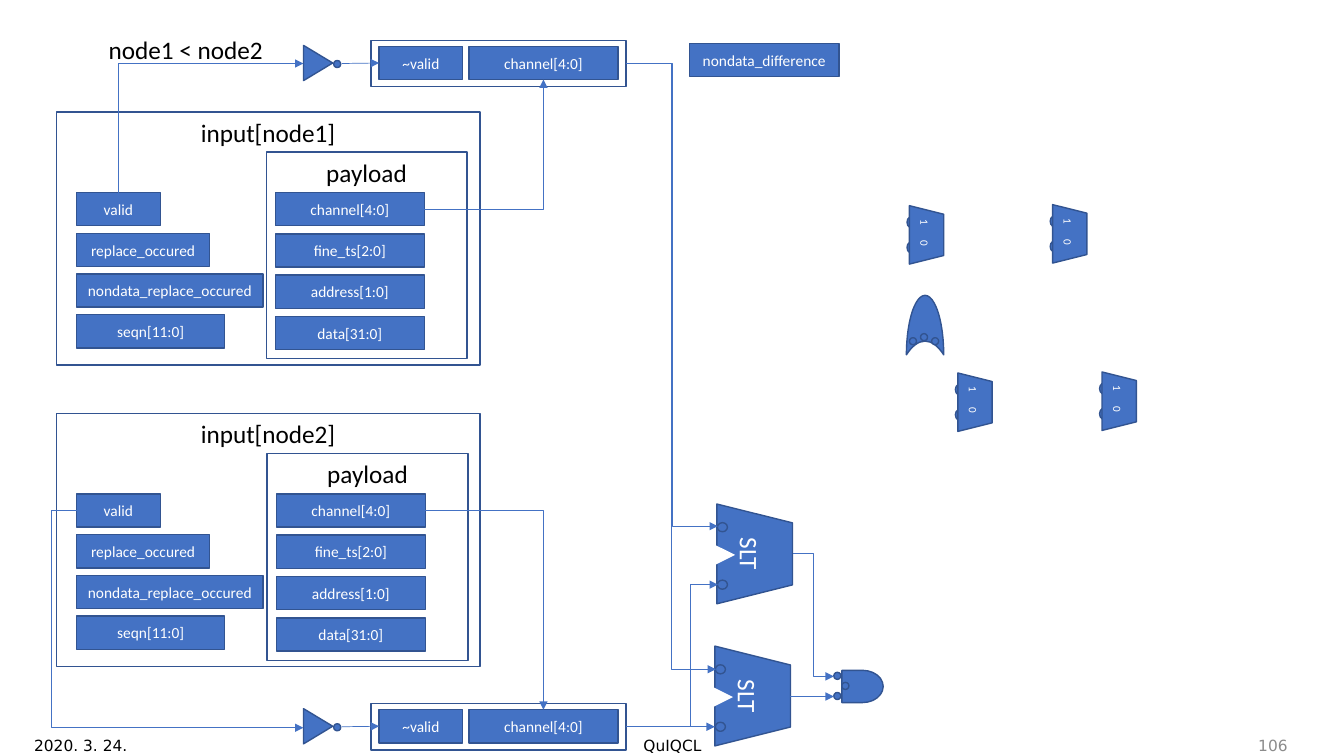
from dataclasses import dataclass

from lxml import etree
from pptx import Presentation
from pptx.dml.color import RGBColor
from pptx.enum.shapes import MSO_CONNECTOR, MSO_SHAPE
from pptx.enum.text import MSO_ANCHOR, PP_ALIGN
from pptx.oxml.ns import qn
from pptx.util import Emu, Pt

PX = 9144
RECT, OVAL, TRIANGLE = MSO_SHAPE.RECTANGLE, MSO_SHAPE.OVAL, MSO_SHAPE.ISOSCELES_TRIANGLE
TRAPEZOID, MOON, DELAY = MSO_SHAPE.TRAPEZOID, MSO_SHAPE.MOON, MSO_SHAPE.FLOWCHART_DELAY
STRAIGHT, ELBOW = MSO_CONNECTOR.STRAIGHT, MSO_CONNECTOR.ELBOW
LEFT, CENTER, RIGHT = PP_ALIGN.LEFT, PP_ALIGN.CENTER, PP_ALIGN.RIGHT
TOP, MIDDLE = MSO_ANCHOR.TOP, MSO_ANCHOR.MIDDLE
SIDE_TOP, SIDE_LEFT, SIDE_BOTTOM, SIDE_RIGHT = range(4)


@dataclass(frozen=True)
class Theme:
    """Colours, fonts and type sizes of the slide."""
    fill: str = "4472C4"
    edge: str = "325491"
    white: str = "FFFFFF"
    black: str = "000000"
    grey: str = "8C8C8C"
    font: str = "Calibri"
    footer_font: str = "DejaVu Sans"
    title: int = 18
    label: int = 11
    tiny: int = 8
    edge_width: float = 1
    wire_width: float = 0.5


T = Theme()


def rgb(value):
    """Turn a hex string into a colour."""
    return RGBColor.from_string(value)


def px(*values):
    """Turn pixel lengths into EMU."""
    return [Emu(round(v * PX)) for v in values]


def write(s, text, size=T.label, color=T.white, font=T.font, align=CENTER,
          anchor=MIDDLE, inset=(0, 0), wrap=True, tab=None):
    """Put one formatted paragraph into a shape."""
    tf = s.text_frame
    tf.word_wrap, tf.vertical_anchor = wrap, anchor
    x, y = px(*inset)
    tf.margin_left = tf.margin_right = x
    tf.margin_top = tf.margin_bottom = y
    p = tf.paragraphs[0]
    p.alignment = align
    if tab:
        tabs = etree.SubElement(p._p.get_or_add_pPr(), qn("a:tabLst"))
        etree.SubElement(tabs, qn("a:tab"), pos=str(tab * PX), algn="l")
    r = p.add_run()
    r.text = text
    r.font.name, r.font.size, r.font.color.rgb = font, Pt(size), rgb(color)


def shape(sp, kind, x, y, w, h, fill=T.fill, edge=T.edge, turn=0):
    """Add a preset shape with flat fill and edge."""
    s = sp.add_shape(kind, *px(x, y, w, h))
    s.shadow.inherit = False
    s.rotation = turn
    if fill:
        s.fill.solid()
        s.fill.fore_color.rgb = rgb(fill)
    else:
        s.fill.background()
    if edge:
        s.line.color.rgb, s.line.width = rgb(edge), Pt(T.edge_width)
    else:
        s.line.fill.background()
    return s


def block(sp, text, x, y, w, h=33):
    """Add a filled signal block."""
    s = shape(sp, RECT, x, y, w, h)
    write(s, text)
    return s


def frame(sp, x, y, w, h, title=None):
    """Add an unfilled frame with an optional title."""
    s = shape(sp, RECT, x, y, w, h, fill=None)
    if title:
        write(s, title, size=T.title, color=T.black, anchor=TOP, inset=(10, 5))
    return s


def textbox(sp, text, x, y, w, h, **fmt):
    """Add a text box."""
    write(sp.add_textbox(*px(x, y, w, h)), text, inset=(10, 5), **fmt)


def wire(sp, start, end, kind=ELBOW, begin=None, finish=None, preset=None,
         bend=None, arrow="tailEnd"):
    """Add an arrow, joined to the given (shape, side) pairs."""
    c = sp.add_connector(kind, *px(*start, *end))
    if begin:
        c.begin_connect(*begin)
    if finish:
        c.end_connect(*finish)
    c.line.color.rgb, c.line.width = rgb(T.fill), Pt(T.wire_width)
    etree.SubElement(c.line._get_or_add_ln(), qn(f"a:{arrow}"), type="triangle")
    pr = c._element.spPr
    etree.SubElement(pr, qn("a:effectLst"))
    geom = pr.find(qn("a:prstGeom"))
    if preset:
        geom.set("prst", preset)
    if bend is not None:
        guides = geom.find(qn("a:avLst"))
        etree.SubElement(guides, qn("a:gd"), name="adj1", fmla=f"val {round(bend * 100000)}")


def node(shapes, name, y, payload_x):
    """Add one input record and return its valid and channel blocks."""
    sp = shapes.add_group_shape().shapes
    frame(sp, 56, y, 420, 251, f"input[{name}]")
    frame(sp, payload_x, y + 40, 199, 205, "payload")
    flags = [("valid", 83), ("replace_occured", 132),
             ("nondata_replace_occured", 185), ("seqn[11:0]", 147)]
    fields = ["channel[4:0]", "fine_ts[2:0]", "address[1:0]", "data[31:0]"]
    left = [block(sp, text, 76, y + 80 + 40.4 * i, w) for i, (text, w) in enumerate(flags)]
    right = [block(sp, text, payload_x + 9, y + 80 + 41 * i, 148)
             for i, text in enumerate(fields)]
    return left[0], right[0]


def inverter(shapes, y):
    """Add a NOT gate."""
    sp = shapes.add_group_shape().shapes
    shape(sp, TRIANGLE, 298, y, 35, 29, turn=90)
    shape(sp, OVAL, 331, y + 12, 7, 7, turn=270)


def key(shapes, y):
    """Add a compare key and return its frame, valid and channel blocks."""
    sp = shapes.add_group_shape().shapes
    valid = block(sp, "~valid", 376, y + 6, 83)
    channel = block(sp, "channel[4:0]", 465, y + 6, 148)
    return frame(sp, 368, y, 253, 46), valid, channel


def comparator(shapes, x, y):
    """Add a set-less-than unit."""
    sp = shapes.add_group_shape().shapes
    write(shape(sp, TRAPEZOID, x, y, 99, 75, turn=90), "SLT", size=T.title)
    shape(sp, TRIANGLE, x + 11, y + 29, 19, 19, fill=T.white, edge=None, turn=90)
    for dy in (63, 6):
        shape(sp, OVAL, x + 13, y + dy, 9, 10, turn=90)


def mux(shapes, x, y):
    """Add a two-way multiplexer."""
    sp = shapes.add_group_shape().shapes
    for dx, dy in ((9, 24), (9, -1), (12, 23)):
        shape(sp, OVAL, x + dx, y + dy, 12, 11, turn=90)
    body = shape(sp, TRAPEZOID, x, y, 58, 34, turn=90)
    write(body, "1\t0", size=T.tiny, align=LEFT, inset=(8, 0), tab=21)


def gate(shapes, kind, box, dots, turn=0, dot_turn=0):
    """Add a logic gate with its pin dots and return the body."""
    sp = shapes.add_group_shape().shapes
    body = shape(sp, kind, *box, turn=turn)
    for x, y in dots:
        shape(sp, OVAL, x, y, 7, 7, turn=dot_turn)
    return body


def main():
    """Build the slide and save it."""
    prs = Presentation()
    prs.slide_width, prs.slide_height = px(1333, 750)
    sp = prs.slides.add_slide(prs.slide_layouts[6]).shapes

    valid1, channel1 = node(sp, "node1", 111, 264)
    valid2, channel2 = node(sp, "node2", 410, 265)
    textbox(sp, "node1 < node2", 98, 29, 175, 40, size=T.title, color=T.black,
            align=LEFT, anchor=TOP, wrap=False)
    block(sp, "nondata_difference", 684, 43, 148)
    for x, y in ((697, 653), (699, 512)):
        comparator(sp, x, y)
    for x, y in ((890, 216), (938, 382), (1032, 215), (1081, 381)):
        mux(sp, x, y)
    gate(sp, DELAY, (835, 665, 41, 32), ((827, 687), (827, 667), (835, 677)))
    moon = gate(sp, MOON, (888, 304, 59, 37), ((902, 335), (924, 335), (913, 331)), 90, 270)
    moon.adjustments[0] = 0.77

    keys = []
    for y, channel in ((40, channel1), (698, channel2)):
        inverter(sp, y + 8)
        box, inverted, target = key(sp, y)
        wire(sp, (339, y + 23), (376, y + 23), STRAIGHT, finish=(inverted, SIDE_LEFT))
        side = SIDE_BOTTOM if y < 111 else SIDE_TOP
        wire(sp, (421, y), (539, y), begin=(channel, SIDE_RIGHT), finish=(target, side),
             preset="bentConnector2")
        keys.append((box, SIDE_RIGHT))
    wire(sp, (301, 63), (117, 191), finish=(valid1, SIDE_TOP), preset="bentConnector2",
         arrow="headEnd")
    wire(sp, (76, 507), (301, 722), begin=(valid2, SIDE_LEFT), bend=-0.11)
    for end in ((712, 522), (710, 664)):
        wire(sp, (621, 63), end, begin=keys[0])
    wire(sp, (621, 721), (712, 580), begin=keys[1], bend=0.7)
    wire(sp, (621, 721), (709, 721), STRAIGHT, begin=keys[1])
    wire(sp, (787, 549), (827, 671))
    wire(sp, (784, 691), (827, 691), STRAIGHT)

    for text, x, w, align, color in (("2020. 3. 24.", 24, 300, LEFT, T.black),
                                     ("QuIQCL", 442, 450, CENTER, T.black),
                                     ("106", 987, 300, RIGHT, T.grey)):
        textbox(sp, text, x, 719, w, 40, align=align, color=color, font=T.footer_font)
    prs.save("out.pptx")


if __name__ == "__main__":
    main()
